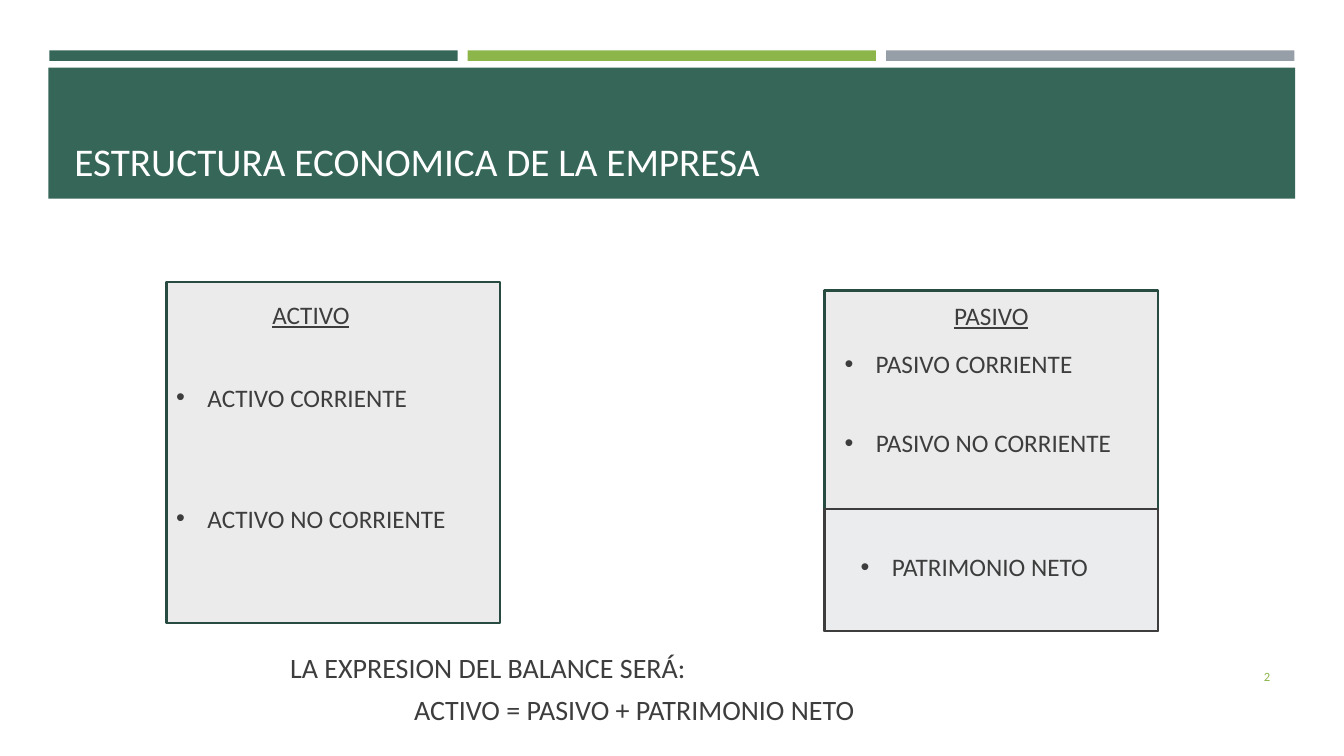
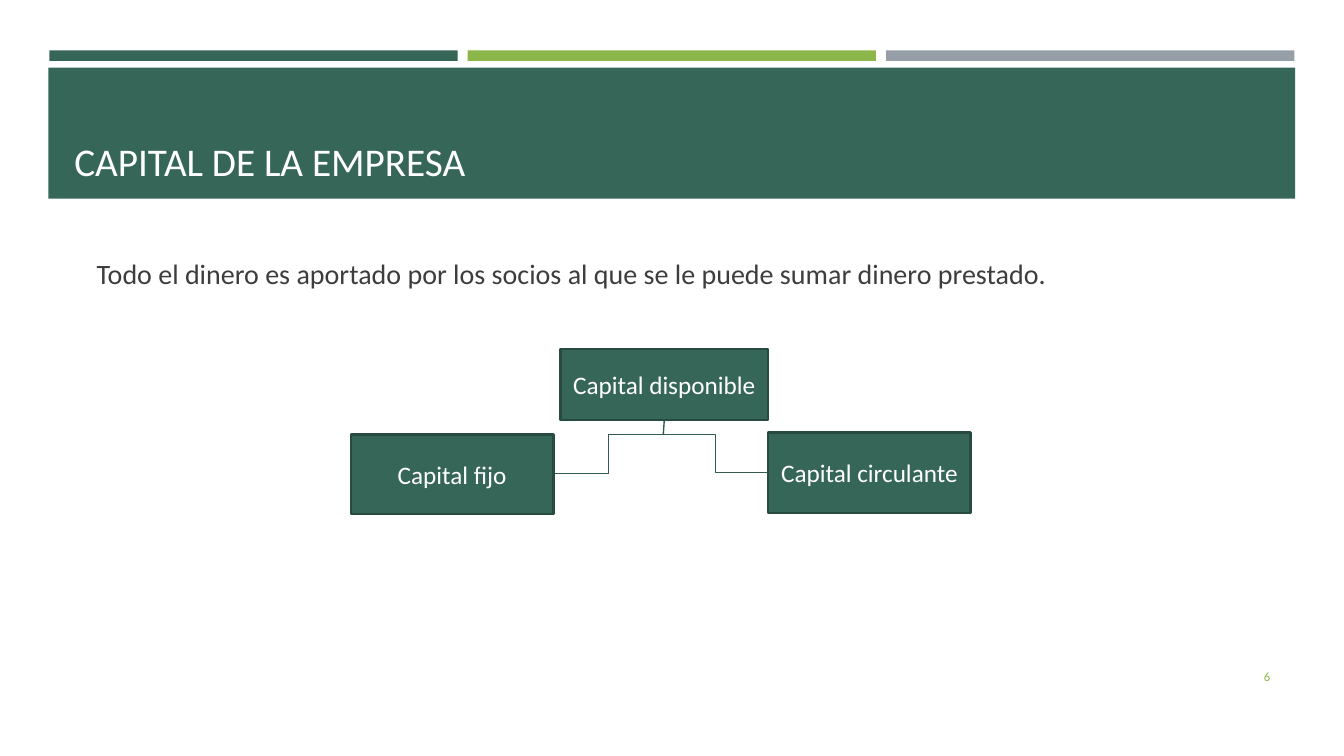
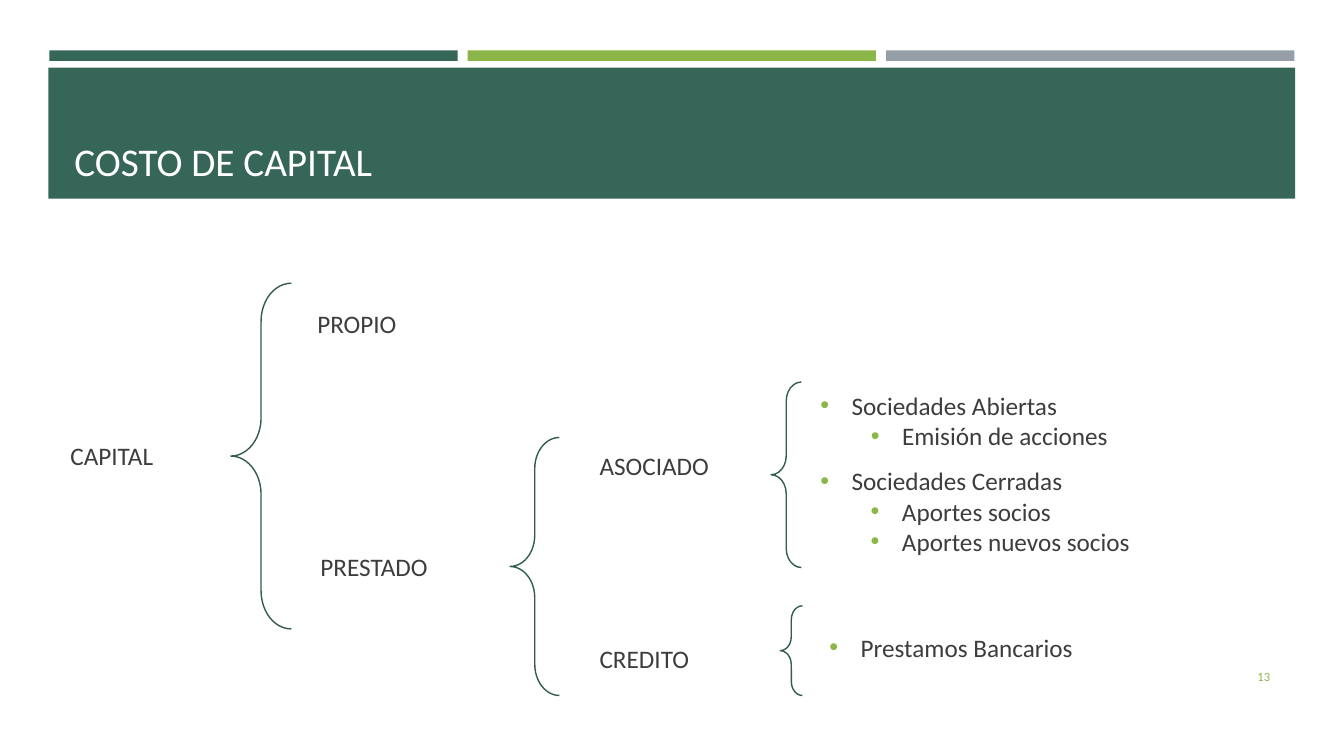
import dataclasses
import typing

import lxml.etree
import pptx
import pptx.dml.color
import pptx.enum.shapes
import pptx.enum.text
import pptx.oxml.ns
import pptx.util

RGBColor = pptx.dml.color.RGBColor
GREEN = RGBColor(0x36, 0x66, 0x58)
LIME = RGBColor(0x8C, 0xB6, 0x4A)
STEEL = RGBColor(0x96, 0x9F, 0xA7)
EDGE = RGBColor(0x28, 0x4B, 0x41)
WIRE = RGBColor(0x31, 0x5C, 0x4F)
INK = RGBColor(0x3D, 0x3D, 0x3D)
PALE = RGBColor(0xEB, 0xEB, 0xEB)
MIST = RGBColor(0xEA, 0xEC, 0xED)
WHITE = RGBColor(0xFF, 0xFF, 0xFF)

FONT = "Calibri"
CELL = 0.1
WIDE, HIGH = 133.33, 75

KIND = pptx.enum.shapes.MSO_SHAPE
LINK = pptx.enum.shapes.MSO_CONNECTOR
ALIGN = pptx.enum.text.PP_ALIGN
ANCHOR = pptx.enum.text.MSO_ANCHOR
FIT = pptx.enum.text.MSO_AUTO_SIZE


class Box(typing.NamedTuple):
    col: float
    row: float
    cols: float
    rows: float = 4


@dataclasses.dataclass(frozen=True)
class Style:
    size: float = 18
    ink: RGBColor = INK
    align: ALIGN = ALIGN.LEFT
    line: bool = False
    dot: bool = False
    tint: RGBColor | None = None
    level: int = 0


PLAIN = Style()
LARGE = Style(size=20)
TITLE = Style(size=28, ink=WHITE)
PAGE = Style(size=9, ink=LIME, align=ALIGN.RIGHT)
HEAD = Style(align=ALIGN.CENTER, line=True)
LABEL = Style(ink=WHITE, align=ALIGN.CENTER)
ITEM = Style(dot=True)
TOP = Style(dot=True, tint=LIME)
SUB = dataclasses.replace(TOP, level=1)


class Line(typing.NamedTuple):
    text: str
    style: Style = PLAIN


class Note(typing.NamedTuple):
    box: Box
    lines: list[Line]


class Pane(typing.NamedTuple):
    box: Box
    fill: RGBColor
    edge: RGBColor = EDGE
    text: str = ""


def grid(*cells: float) -> list[int]:
    return [pptx.util.Inches(cell * CELL) for cell in cells]


def put(item: typing.Any, **values: typing.Any) -> None:
    for name, value in values.items():
        setattr(item, name, value)


def add_dot(para: typing.Any, style: Style) -> None:
    props = para._p.get_or_add_pPr()
    hang = pptx.util.Inches(0.31)
    props.set("marL", str(hang + style.level * pptx.util.Inches(0.5)))
    props.set("indent", str(-hang))
    name, sub = pptx.oxml.ns.qn, lxml.etree.SubElement
    if style.tint is not None:
        tint = sub(props, name("a:buClr"))
        sub(tint, name("a:srgbClr"), val=str(style.tint))
    sub(props, name("a:buFont"), typeface="Arial")
    sub(props, name("a:buChar"), char="•")


def write(frame: typing.Any, lines: list[Line]) -> None:
    for rank, (text, style) in enumerate(lines):
        para = frame.add_paragraph() if rank else frame.paragraphs[0]
        if style.dot:
            add_dot(para, style)
        put(para, alignment=style.align, level=style.level)
        run = para.add_run()
        run.text = text
        put(run.font, name=FONT, size=pptx.util.Pt(style.size), underline=style.line)
        run.font.color.rgb = style.ink


def add_note(slide: typing.Any, note: Note, anchor: ANCHOR = ANCHOR.TOP,
             fit: FIT = FIT.SHAPE_TO_FIT_TEXT) -> None:
    frame = slide.shapes.add_textbox(*grid(*note.box)).text_frame
    put(frame, word_wrap=True, auto_size=fit, vertical_anchor=anchor)
    write(frame, note.lines)


def add_form(slide: typing.Any, box: Box, kind: KIND = KIND.RECTANGLE,
             fill: RGBColor | None = None, edge: RGBColor | None = None,
             width: float = 1.75) -> typing.Any:
    shape = slide.shapes.add_shape(kind, *grid(*box))
    shape.shadow.inherit = False
    if fill is None:
        shape.fill.background()
    else:
        shape.fill.solid()
        shape.fill.fore_color.rgb = fill
    if edge is None:
        shape.line.fill.background()
    else:
        shape.line.color.rgb = edge
        shape.line.width = pptx.util.Pt(width)
    return shape


def add_pane(slide: typing.Any, pane: Pane) -> typing.Any:
    shape = add_form(slide, pane.box, fill=pane.fill, edge=pane.edge)
    if pane.text:
        put(shape.text_frame, word_wrap=True, vertical_anchor=ANCHOR.MIDDLE)
        write(shape.text_frame, [Line(pane.text, LABEL)])
    return shape


def add_brace(slide: typing.Any, box: Box) -> None:
    brace = add_form(slide, box, KIND.LEFT_BRACE, edge=WIRE, width=1)
    brace.adjustments[0] = 0.63


def add_link(slide: typing.Any, kind: LINK, start: tuple[float, float],
             end: tuple[float, float]) -> typing.Any:
    link = slide.shapes.add_connector(kind, *grid(*start, *end))
    link.line.color.rgb = WIRE
    link.line.width = pptx.util.Pt(1)
    lxml.etree.SubElement(link._element.spPr, pptx.oxml.ns.qn("a:effectLst"))
    return link


def add_slide(deck: typing.Any, title: str, page: int) -> typing.Any:
    slide = deck.slides.add_slide(deck.slide_layouts[6])
    for rank, fill in enumerate((GREEN, LIME, STEEL)):
        add_form(slide, Box(4.9 + rank * 41.5, 5, 40.5, 1.05), fill=fill)
    add_form(slide, Box(4.8, 6.7, 123.7, 13), fill=GREEN)
    add_note(slide, Note(Box(6.4, 7.7, 120.6, 11.1), [Line(title, TITLE)]),
             ANCHOR.BOTTOM, FIT.NONE)
    add_note(slide, Note(Box(115.5, 65.1, 11.5), [Line(str(page), PAGE)]),
             ANCHOR.MIDDLE, FIT.NONE)
    return slide


def build_sheet(deck: typing.Any) -> None:
    slide = add_slide(deck, "ESTRUCTURA ECONOMICA DE LA EMPRESA", 2)
    for pane in (
        Pane(Box(16.5, 28, 33.1, 33.8), PALE),
        Pane(Box(81.8, 28.8, 33.1, 33.8), PALE),
        Pane(Box(81.8, 50.5, 33.1, 12.1), MIST, INK),
    ):
        add_pane(slide, pane)
    for box, text, style in (
        (Box(10.2, 29.2, 41.3), "ACTIVO", HEAD),
        (Box(16.5, 37.4, 40), "ACTIVO CORRIENTE", ITEM),
        (Box(16.5, 49.4, 40), "ACTIVO NO CORRIENTE", ITEM),
        (Box(77.7, 29.3, 41.3), "PASIVO", HEAD),
        (Box(82.8, 34.1, 29), "PASIVO CORRIENTE", ITEM),
        (Box(82.8, 41.9, 33.9), "PASIVO NO CORRIENTE", ITEM),
        (Box(84.4, 54.2, 29), "PATRIMONIO NETO", ITEM),
        (Box(27.8, 64, 63.6, 4.4), "LA EXPRESION DEL BALANCE SERÁ:", LARGE),
        (Box(40.1, 68.2, 58.3, 4.4), "ACTIVO = PASIVO + PATRIMONIO NETO", LARGE),
    ):
        add_note(slide, Note(box, [Line(text, style)]))


def build_tree(deck: typing.Any) -> None:
    slide = add_slide(deck, "CAPITAL DE LA EMPRESA", 6)
    text = "Todo el dinero es aportado por los socios al que se le puede sumar dinero prestado."
    add_note(slide, Note(Box(8.6, 25, 101.7, 4.4), [Line(text, LARGE)]))
    root = add_pane(slide, Pane(Box(55.6, 34.6, 20.6, 7.1), GREEN, text="Capital disponible"))
    fork = (65.8, 43.1)
    stem = add_link(slide, LINK.STRAIGHT, (65.9, 41.7), fork)
    stem.begin_connect(root, 2)
    for end in ((76.2, 46.9), (54.9, 47)):
        add_link(slide, LINK.ELBOW, fork, end)
    for pane in (
        Pane(Box(34.8, 43.1, 20.1, 7.9), GREEN, text="Capital fijo"),
        Pane(Box(76.2, 42.9, 20.1, 8), GREEN, text="Capital circulante"),
    ):
        add_pane(slide, pane)


def build_cost(deck: typing.Any) -> None:
    slide = add_slide(deck, "COSTO DE CAPITAL", 13)
    for brace in (
        Box(22.9, 28.1, 6, 34.3),
        Box(50.6, 43.4, 4.9, 25.6),
        Box(76.5, 37.9, 3, 18.4),
        Box(77.4, 60.1, 2.2, 8.9),
    ):
        add_brace(slide, brace)
    for note in (
        Note(Box(6, 43.2, 15), [Line("CAPITAL")]),
        Note(Box(30.5, 30.1, 15), [Line("PROPIO")]),
        Note(Box(30.8, 54.2, 17.4), [Line("PRESTADO")]),
        Note(Box(58.5, 44.2, 15), [Line("ASOCIADO")]),
        Note(Box(58.5, 63.3, 15), [Line("CREDITO")]),
        Note(Box(80.4, 38.2, 31.5, 7.1),
             [Line("Sociedades Abiertas", TOP), Line("Emisión de acciones", SUB)]),
        Note(Box(80.4, 45.7, 36, 13.1),
             [Line("Sociedades Cerradas", TOP), Line("Aportes socios", SUB),
              Line("Aportes nuevos socios", SUB)]),
        Note(Box(81.3, 62.2, 28.1), [Line("Prestamos Bancarios", TOP)]),
    ):
        add_note(slide, note)


def main() -> None:
    deck = pptx.Presentation()
    wide, high = grid(WIDE, HIGH)
    put(deck, slide_width=wide, slide_height=high)
    for build in (build_sheet, build_tree, build_cost):
        build(deck)
    deck.save("out.pptx")


if __name__ == "__main__":
    main()
